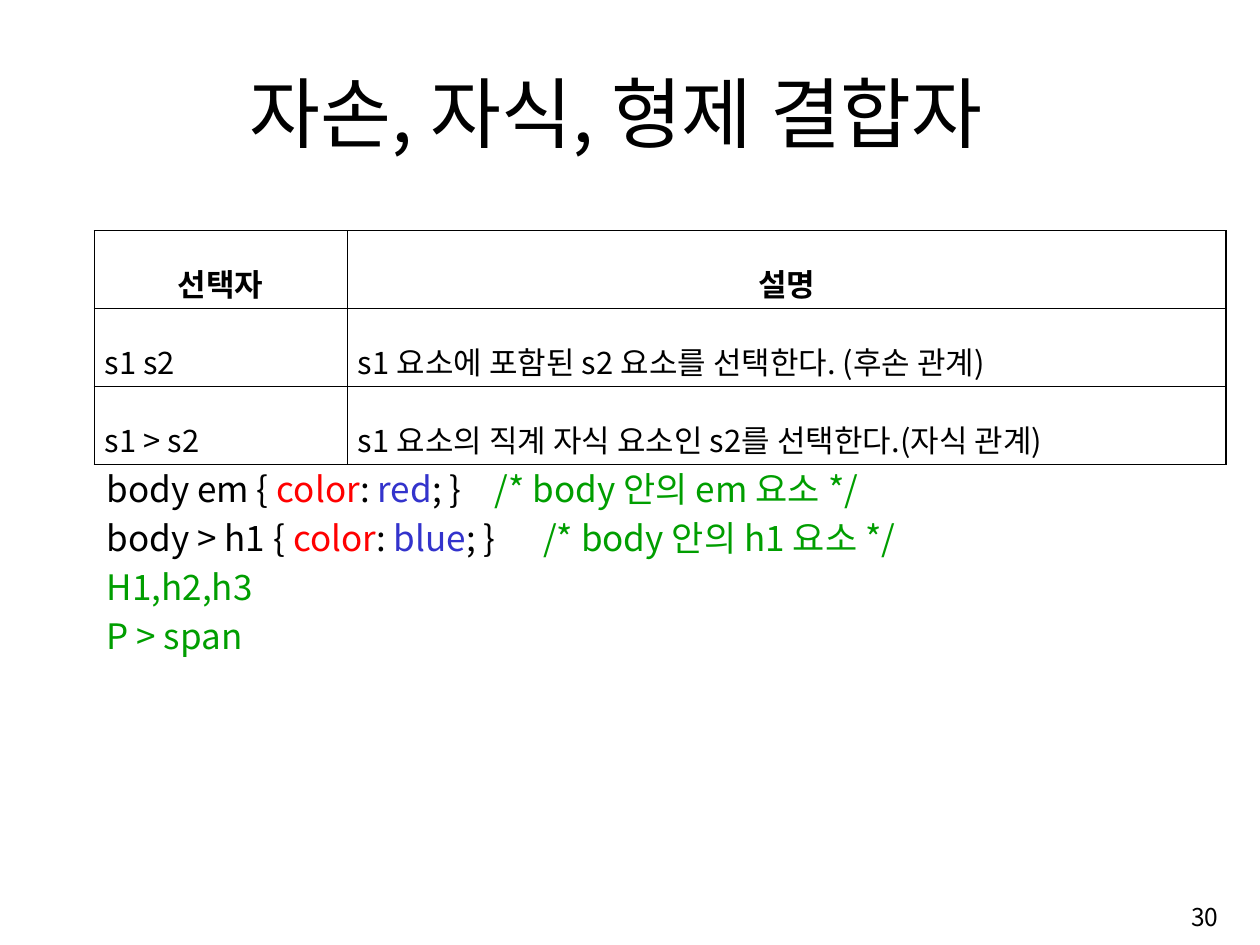
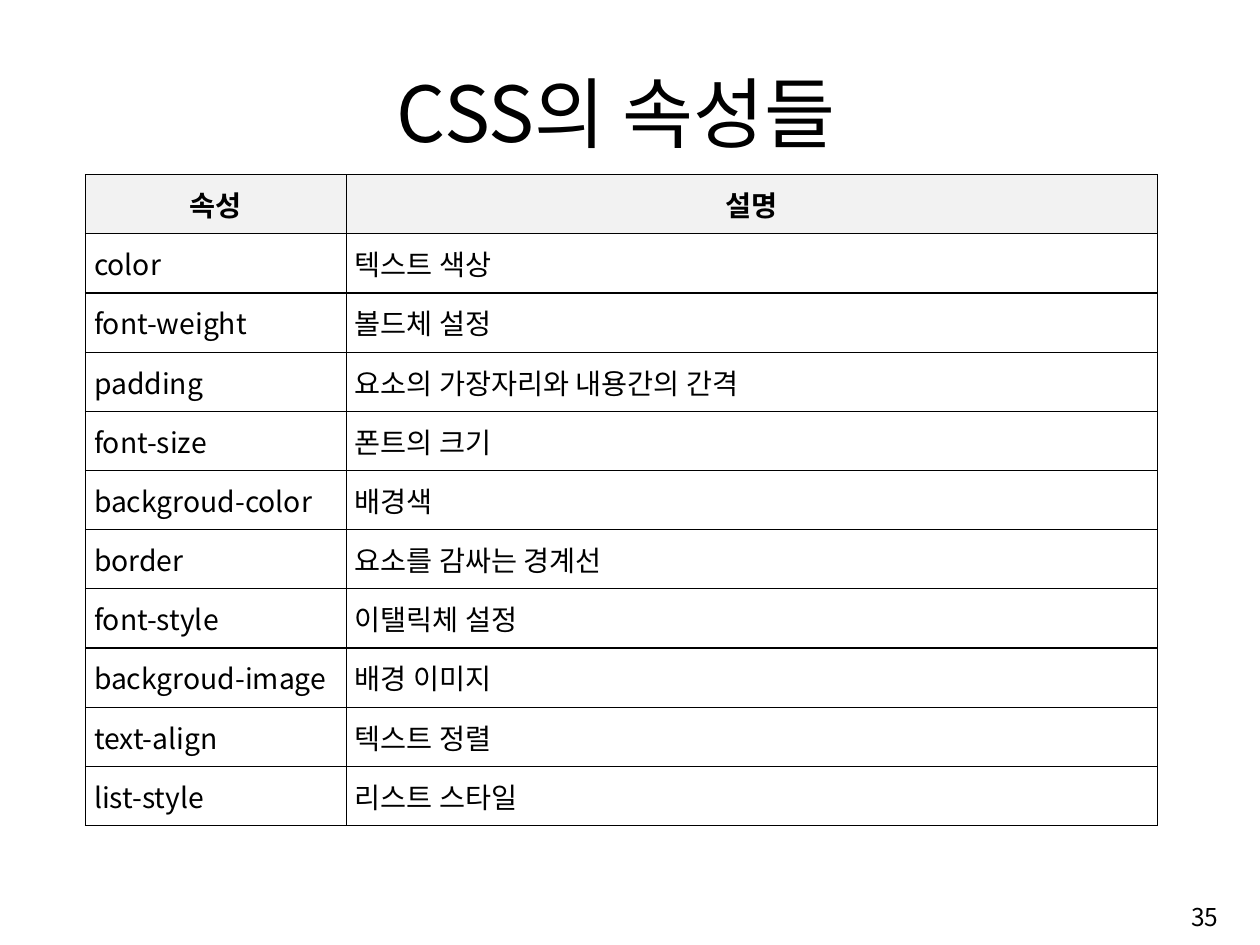
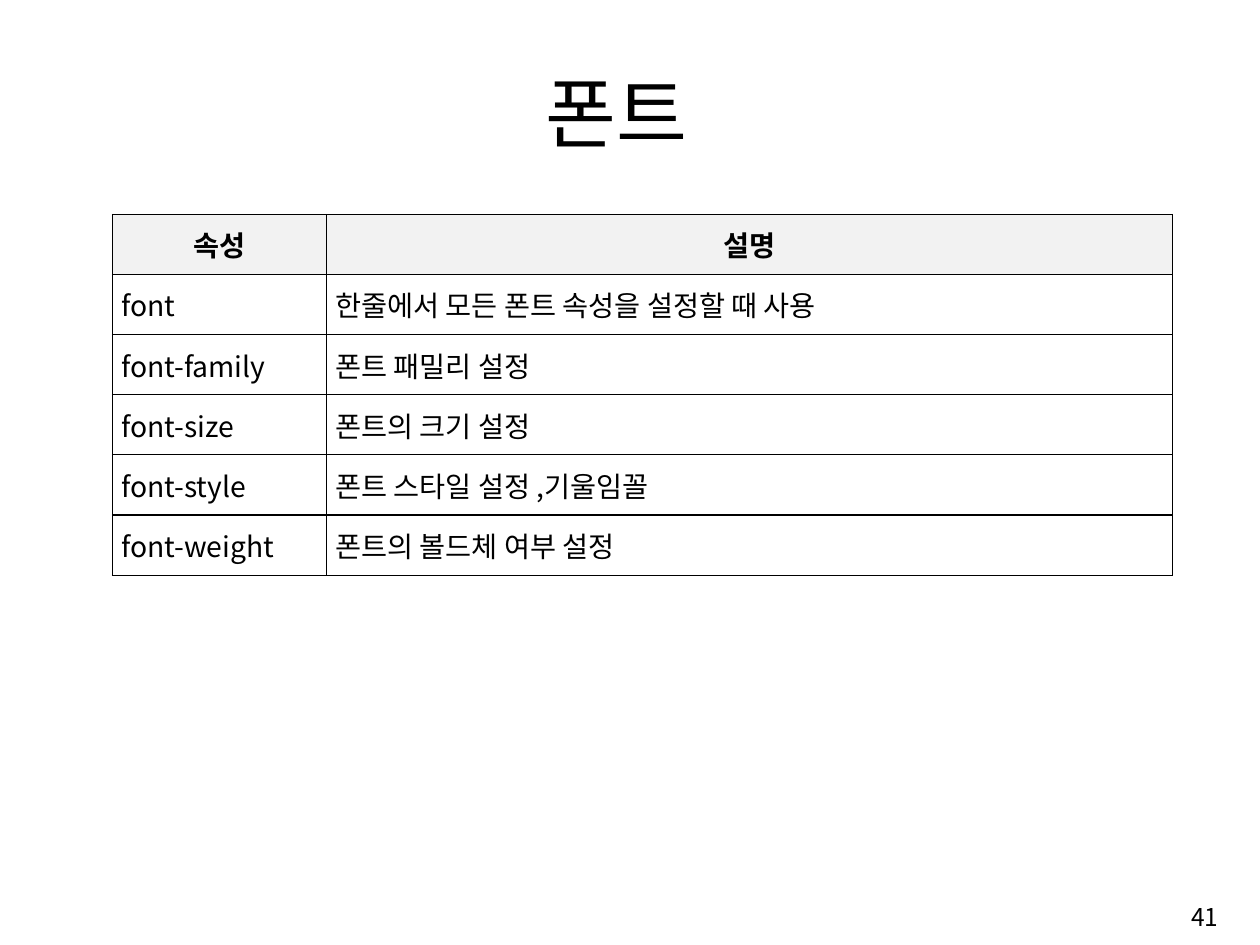
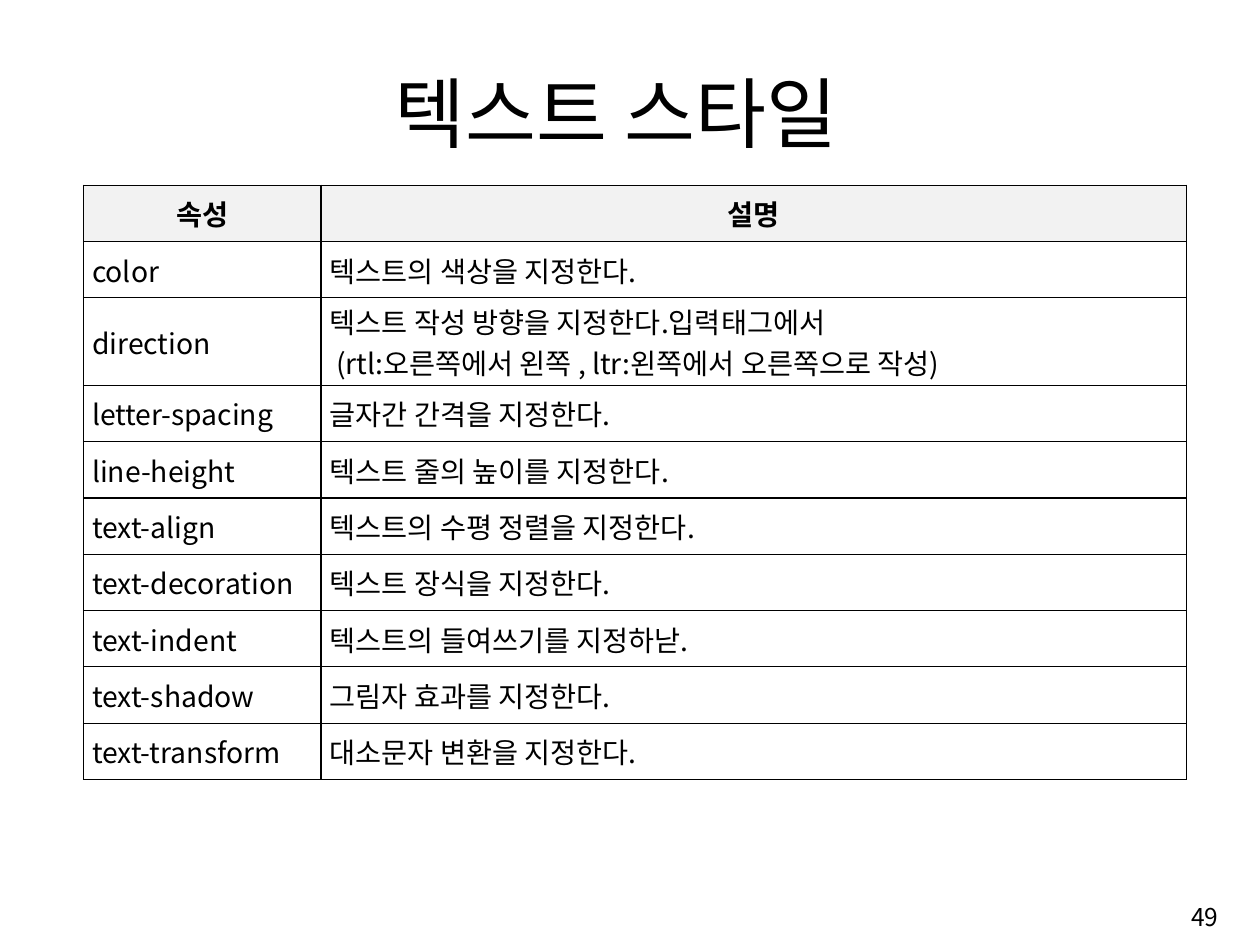
from dataclasses import dataclass

from lxml.etree import SubElement as Sub
from pptx import Presentation
from pptx.dml.color import RGBColor as Rgb
from pptx.enum.text import MSO_ANCHOR as Anchor, MSO_AUTO_SIZE as Fit, PP_ALIGN as Align
from pptx.oxml.ns import qn
from pptx.util import Inches, Pt


# Colours, font and type sizes
@dataclass(frozen=True)
class Theme:
    font: str = "Noto Sans CJK KR"
    ink: str = "000000"
    paper: str = "FFFFFF"
    head: str = "F2F2F2"
    name: str = "FF0000"
    value: str = "3333CC"
    note: str = "009E00"
    title: float = 57.2
    code: float = 26
    large: float = 23
    cell: float = 21
    page: float = 18.2


def apply(obj, values):
    for key, value in values.items():
        setattr(obj, key, value)


class Deck:
    def __init__(self, theme):
        self.theme = theme
        self.prs = Presentation()
        apply(self.prs, {"slide_width": Inches(12.99), "slide_height": Inches(9.74)})
        self.slide = None

    def start(self, title, page):
        """Add a slide with its title and page number."""
        self.slide = self.prs.slides.add_slide(self.prs.slide_layouts[5])
        box = self.slide.shapes.title
        apply(box, {"left": Inches(1.05), "top": Inches(0.61),
                    "width": Inches(10.61), "height": Inches(1.08)})
        self.frame(box.text_frame, 0.13, 0.06, Anchor.BOTTOM)
        self.text(box.text_frame.paragraphs[0], [(title, self.theme.ink)],
                  self.theme.title, {"alignment": Align.CENTER})
        frame = self.box(9.98, 9.15, 2.68, 0.6, 0.1, 0.05, Anchor.MIDDLE)
        self.text(frame.paragraphs[0], [(str(page), self.theme.ink)],
                  self.theme.page, {"alignment": Align.RIGHT})

    def frame(self, frame, side, edge, anchor):
        apply(frame, {"word_wrap": True, "auto_size": Fit.NONE, "vertical_anchor": anchor,
                      "margin_left": Inches(side), "margin_right": Inches(side),
                      "margin_top": Inches(edge), "margin_bottom": Inches(edge)})

    def box(self, left, top, width, height, side, edge, anchor):
        shape = self.slide.shapes.add_textbox(
            Inches(left), Inches(top), Inches(width), Inches(height))
        self.frame(shape.text_frame, side, edge, anchor)
        return shape.text_frame

    def text(self, para, parts, size, form, bold=False):
        """Fill a paragraph with (text, colour) parts."""
        apply(para, form)
        for words, color in parts:
            run = para.add_run()
            run.text = words
            apply(run.font, {"size": Pt(size), "bold": bold, "name": self.theme.font})
            run.font.color.rgb = Rgb.from_string(color)
            Sub(run.font._element, qn("a:ea"), typeface=self.theme.font)

    def code(self, left, top, width, height, lines):
        frame = self.box(left, top, width, height, 0.13, 0.06, Anchor.TOP)
        for i, parts in enumerate(lines):
            para = frame.add_paragraph() if i else frame.paragraphs[0]
            self.text(para, parts, self.theme.code, {"line_spacing": Pt(36.5)})

    def border(self, cell):
        props = cell._tc.get_or_add_tcPr()
        for i, side in enumerate(("lnL", "lnR", "lnT", "lnB")):
            line = Sub(props, qn(f"a:{side}"), w=str(Pt(1)))
            fill = Sub(line, qn("a:solidFill"))
            Sub(fill, qn("a:srgbClr"), val=self.theme.ink)
            props.insert(i, line)

    def table(self, left, top, cols, tall, rows, size, head, side=0.09, space=1.0):
        """Add a ruled table whose first row is the heading."""
        grid = self.slide.shapes.add_table(
            len(rows), len(cols), Inches(left), Inches(top),
            Inches(sum(cols)), Inches(tall * len(rows))).table
        apply(grid, {"first_row": False, "horz_banding": False})
        for col, width in zip(grid.columns, cols):
            col.width = Inches(width)
        for r, row in enumerate(rows):
            grid.rows[r].height = Inches(tall)
            for c, words in enumerate(row):
                self.cell(grid.cell(r, c), words, size, r == 0, head, side, space)

    def cell(self, cell, words, size, top, head, side, space):
        apply(cell, {"vertical_anchor": Anchor.MIDDLE,
                     "margin_left": Inches(side), "margin_right": Inches(side),
                     "margin_top": Inches(0.03), "margin_bottom": Inches(0.03)})
        cell.fill.solid()
        cell.fill.fore_color.rgb = Rgb.from_string(head if top else self.theme.paper)
        self.border(cell)
        form = {"alignment": Align.CENTER if top else Align.JUSTIFY, "line_spacing": space}
        for i, line in enumerate(words.split("\n")):
            para = cell.text_frame.add_paragraph() if i else cell.text_frame.paragraphs[0]
            self.text(para, [(line, self.theme.ink)], size, form, top)


def rule(theme, pick, value, note):
    """Colour one CSS rule and its comment."""
    return [(pick + " { ", theme.ink), ("color", theme.name), (": ", theme.ink),
            (value, theme.value), ("; }\t", theme.ink), (note, theme.note)]


HEAD = ("속성", "설명")

PICKS = [
    ("선택자", "설명"),
    ("s1 s2", "s1 요소에 포함된 s2 요소를 선택한다. (후손 관계)"),
    ("s1 > s2", "s1 요소의 직계 자식 요소인 s2를 선택한다.(자식 관계)"),
]

PROPS = [
    HEAD,
    ("color", "텍스트 색상"),
    ("font-weight", "볼드체 설정"),
    ("padding", "요소의 가장자리와 내용간의 간격"),
    ("font-size", "폰트의 크기"),
    ("backgroud-color", "배경색"),
    ("border", "요소를 감싸는 경계선"),
    ("font-style", "이탤릭체 설정"),
    ("backgroud-image", "배경 이미지"),
    ("text-align", "텍스트 정렬"),
    ("list-style", "리스트 스타일"),
]

FONTS = [
    HEAD,
    ("font", "한줄에서 모든 폰트 속성을 설정할 때 사용"),
    ("font-family", "폰트 패밀리 설정"),
    ("font-size", "폰트의 크기 설정"),
    ("font-style", "폰트 스타일 설정 ,기울임꼴"),
    ("font-weight", "폰트의 볼드체 여부 설정"),
]

TEXTS = [
    HEAD,
    ("color", "텍스트의 색상을 지정한다."),
    ("direction", "텍스트 작성 방향을 지정한다.입력태그에서\n"
                  " (rtl:오른쪽에서 왼쪽 , ltr:왼쪽에서 오른쪽으로 작성)"),
    ("letter-spacing", "글자간 간격을 지정한다."),
    ("line-height", "텍스트 줄의 높이를 지정한다."),
    ("text-align", "텍스트의 수평 정렬을 지정한다."),
    ("text-decoration", "텍스트 장식을 지정한다."),
    ("text-indent", "텍스트의 들여쓰기를 지정하낟."),
    ("text-shadow", "그림자 효과를 지정한다."),
    ("text-transform", "대소문자 변환을 지정한다."),
]


def main():
    theme = Theme()
    deck = Deck(theme)

    # Combinators, with sample rules
    deck.start("자손, 자식, 형제 결합자", 30)
    deck.table(0.97, 2.38, (2.61, 9.06), 0.67, PICKS, theme.large, theme.paper, 0.11, 1.6)
    deck.code(0.97, 4.68, 11.67, 2.3, [
        rule(theme, "body em", "red", "/* body 안의 em 요소 */"),
        rule(theme, "body > h1", "blue", "/* body 안의 h1 요소 */"),
        [("H1,h2,h3", theme.note)],
        [("P > span", theme.note)],
    ])

    # Property tables
    for title, page, left, top, cols, tall, rows in (
        ("CSS의 속성들", 35, 0.88, 1.8, (2.69, 8.36), 0.61, PROPS),
        ("폰트", 41, 1.16, 2.21, (2.21, 8.72), 0.62, FONTS),
        ("텍스트 스타일", 49, 0.86, 1.91, (2.45, 8.92), 0.58, TEXTS),
    ):
        deck.start(title, page)
        deck.table(left, top, cols, tall, rows, theme.cell, theme.head)

    deck.prs.save("out.pptx")


if __name__ == "__main__":
    main()
